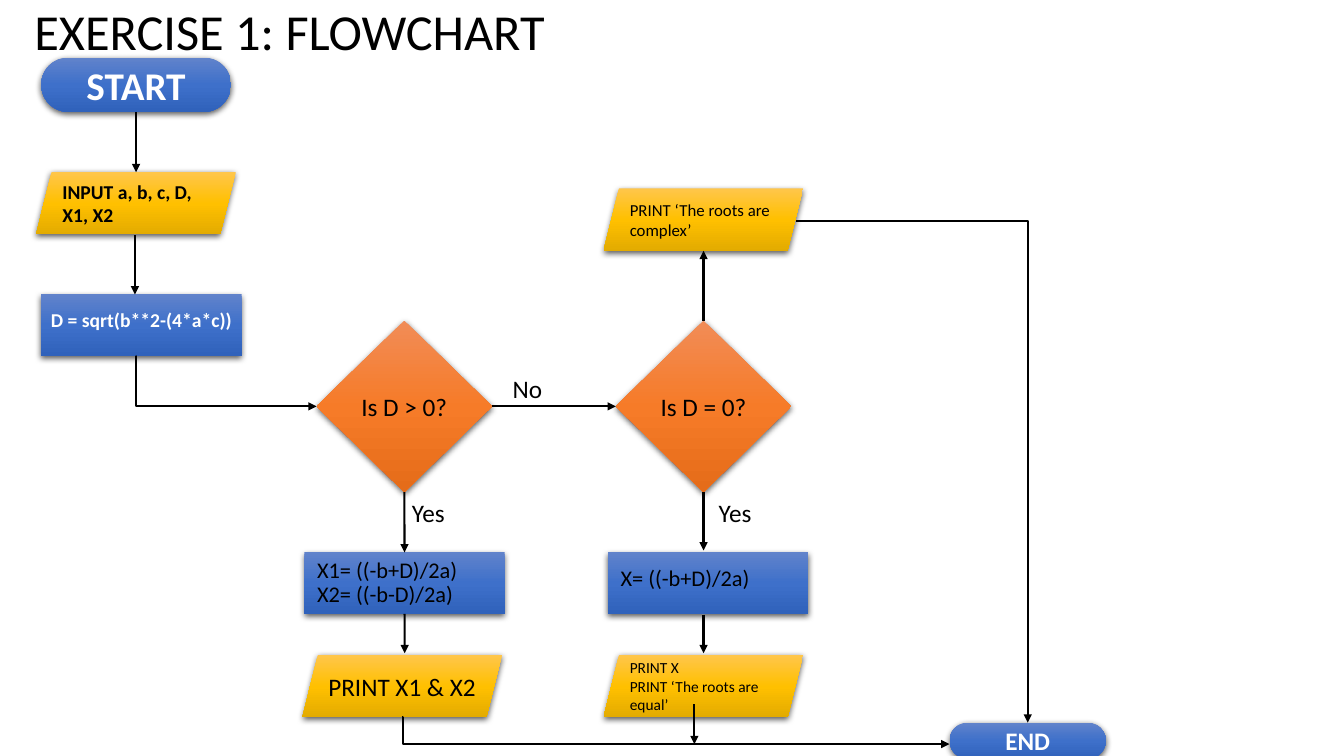
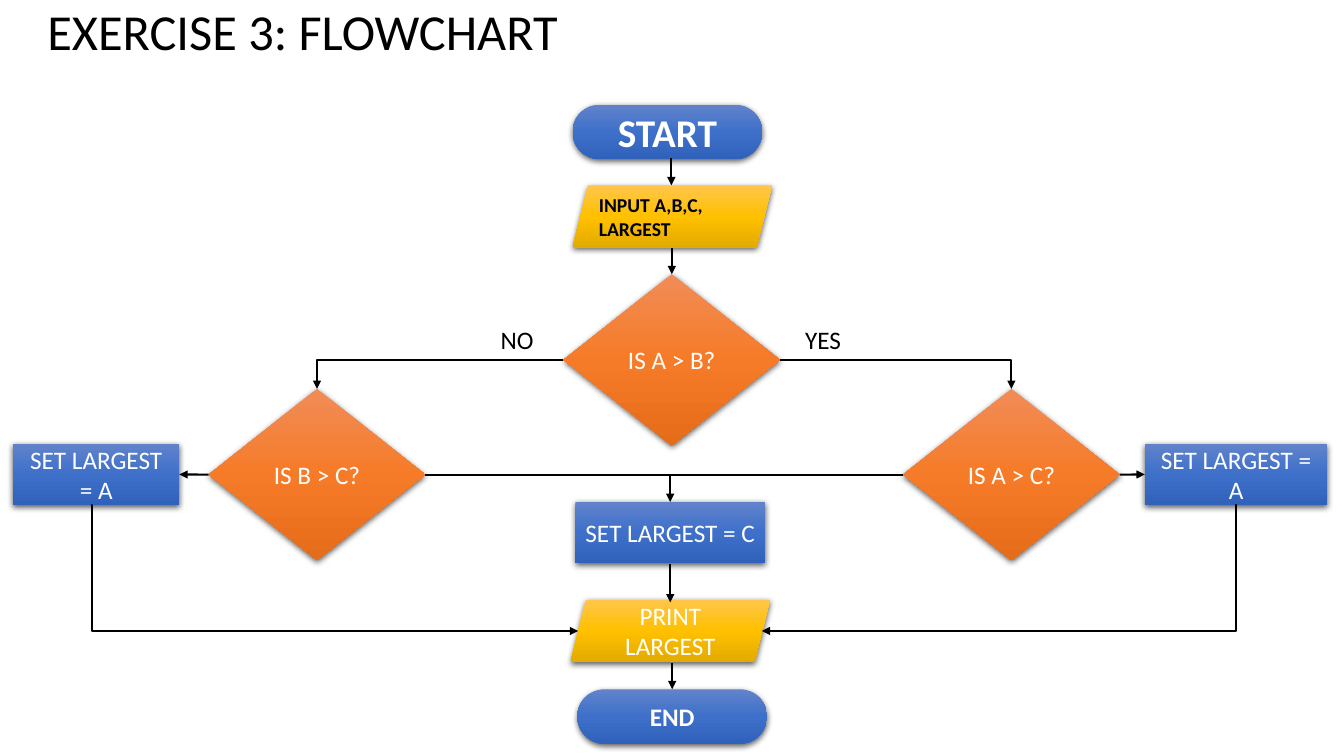
from copy import deepcopy
from dataclasses import dataclass

from lxml.etree import SubElement as Sub
from pptx import Presentation
from pptx.dml.color import RGBColor as Rgb
from pptx.enum.shapes import MSO_CONNECTOR as Wire, MSO_SHAPE as Form
from pptx.enum.text import MSO_ANCHOR as Anchor, PP_ALIGN as Align
from pptx.oxml.ns import qn
from pptx.util import Cm, Pt

TOP, LEFT, BOTTOM, RIGHT = range(4)


@dataclass(frozen=True)
class Theme:
    font: str = "Calibri"
    black: str = "000000"
    white: str = "FFFFFF"
    blue: tuple = ("6183CB", "3E70CA", "3062BB")
    gold: tuple = ("FFC64B", "FFC000", "E3AB00")
    orange: tuple = ("F18C57", "F67B28", "E56C19")
    head: int = 36
    start: int = 28
    body: int = 18
    sum: int = 16
    bold: int = 14
    note: int = 12
    tiny: int = 11
    line: float = 1.5
    pad: float = 0.24
    indent: float = 0.08


T = Theme()


def style(frame, size, color, bold=False, align=Align.LEFT, space=None):
    for para in frame.paragraphs:
        para.alignment = align
        para.line_spacing = space
        for run in para.runs:
            font = run.font
            font.name, font.size, font.bold = T.font, Pt(size), bold
            font.color.rgb = Rgb.from_string(color)


def paint(shape, tones):
    fill = shape.fill
    fill.gradient()
    fill.gradient_angle = 270
    stops = shape.element.spPr.find(qn("a:gradFill")).find(qn("a:gsLst"))
    stops.append(deepcopy(stops[-1]))
    for stop, place, tone in zip(fill.gradient_stops, (0, 0.5, 1), tones):
        stop.position = place
        stop.color.rgb = Rgb.from_string(tone)
    shape.line.fill.background()


def shade(shape):
    shape.shadow.inherit = False
    root = shape.element.spPr.find(qn("a:effectLst"))
    cast = Sub(root, qn("a:outerShdw"), blurRad=str(Pt(4.5)), dist=str(Pt(1.5)),
               dir="5400000", algn="ctr", rotWithShape="0")
    tint = Sub(cast, qn("a:srgbClr"), val=T.black)
    Sub(tint, qn("a:alpha"), val="63000")


def block(slide, form, tones, box, text, size=T.body, color=T.white,
          bold=False, align=Align.CENTER, pad=0, lift=0, space=None):
    shape = slide.shapes.add_shape(form, *map(Cm, box))
    paint(shape, tones)
    shade(shape)
    frame = shape.text_frame
    frame.text = text
    frame.word_wrap = True
    frame.vertical_anchor = Anchor.MIDDLE
    inset = T.indent if align == Align.LEFT else 0
    frame.margin_left, frame.margin_right = Cm(pad + inset), Cm(pad)
    frame.margin_top, frame.margin_bottom = 0, Cm(lift)
    style(frame, size, color, bold, align, space)
    return shape


def pill(slide, x, y, text, size=T.body, w=4.78, h=1.37):
    shape = block(slide, Form.ROUNDED_RECTANGLE, T.blue, (x, y, w, h), text,
                  size, bold=True)
    shape.adjustments[0] = 0.5
    return shape


def data(slide, x, y, text, size=T.body, color=T.black, bold=False,
         align=Align.LEFT):
    return block(slide, Form.PARALLELOGRAM, T.gold, (x, y, 5.03, 1.57), text,
                 size, color, bold, align)


def step(slide, x, y, text, w=5.05, **look):
    return block(slide, Form.RECTANGLE, T.blue, (x, y, w, 1.55), text,
                 pad=T.pad, **look)


def test(slide, x, y, text, w=5.46, color=T.white):
    return block(slide, Form.DIAMOND, T.orange, (x, y, w, 4.32), text,
                 color=color)


def label(slide, x, y, text):
    frame = slide.shapes.add_textbox(Cm(x), Cm(y), Cm(2.82), Cm(1.02)).text_frame
    frame.word_wrap = True
    frame.text = text
    style(frame, T.body, T.black)


def link(slide, start, end, kind=Wire.STRAIGHT, tip=True):
    ends = [(0, 0) if hasattr(spot[0], "shape_id") else spot
            for spot in (start, end)]
    wire = slide.shapes.add_connector(kind, *(Cm(v) for spot in ends for v in spot))
    for spot, join in ((start, wire.begin_connect), (end, wire.end_connect)):
        if hasattr(spot[0], "shape_id"):
            join(*spot)
    wire.line.color.rgb = Rgb.from_string(T.black)
    wire.line.width = Pt(T.line)
    props = wire.element.spPr
    if tip:
        Sub(props.find(qn("a:ln")), qn("a:tailEnd"), type="triangle")
    Sub(props, qn("a:effectLst"))
    return wire


def across(slide, start, end):
    wire = link(slide, start, end, Wire.ELBOW)
    wire.element.spPr.find(qn("a:prstGeom")).set("prst", "bentConnector2")


def down(slide, start, end):
    wire = link(slide, start, end, Wire.ELBOW)
    shape = wire.element.spPr.find(qn("a:prstGeom"))
    guides = shape.find(qn("a:avLst"))
    if guides is None:
        guides = Sub(shape, qn("a:avLst"))
    Sub(guides, qn("a:gd"), name="adj1", fmla="val 200")


def page(deck, text, x):
    slide = deck.slides.add_slide(deck.slide_layouts[5])
    title = slide.shapes.title
    title.left, title.top, title.width, title.height = map(
        Cm, (x, -0.98, 29.21, 3.68))
    frame = title.text_frame
    frame.text = text
    frame.word_wrap = True
    frame.vertical_anchor = Anchor.MIDDLE
    style(frame, T.head, T.black, space=0.9)
    return slide


def roots(deck):
    slide = page(deck, "EXERCISE 1: FLOWCHART", 0.61)
    sums = dict(size=T.sum, color=T.black, align=Align.LEFT)
    start = pill(slide, 1.04, 1.45, "START", T.start)
    data(slide, 0.91, 4.34, "INPUT a, b, c, D, X1, X2", T.bold, bold=True)
    step(slide, 1.04, 7.42, "D = sqrt(b**2-(4*a*c))", size=T.bold, bold=True,
         lift=0.3)
    more = test(slide, 7.98, 8.08, "Is D > 0?", 4.42, T.black)
    same = test(slide, 15.52, 8.08, "Is D = 0?", 4.42, T.black)
    pair = step(slide, 7.67, 13.92, "X1= ((-b+D)/2a)\nX2= ((-b-D)/2a)",
                space=0.92, **sums)
    step(slide, 15.32, 13.92, "X= ((-b+D)/2a)", lift=0.3, **sums)
    data(slide, 7.62, 16.51, "PRINT X1 & X2", align=Align.CENTER)
    data(slide, 15.21, 16.51, "PRINT X\nPRINT ‘The roots are equal’", T.tiny)
    data(slide, 15.21, 4.75, "PRINT ‘The roots are complex’", T.note)
    end = pill(slide, 23.93, 18.21, "END", w=3.94, h=0.91)

    for x, y, text in ((12.67, 9.27, "No"), (10.13, 12.4, "Yes"),
                       (17.86, 12.4, "Yes")):
        label(slide, x, y, text)

    for tail, head in (
        ((start, BOTTOM), (3.43, 4.34)),
        ((3.4, 5.92), (3.4, 7.42)),
        ((more, RIGHT), (same, LEFT)),
        ((more, BOTTOM), (pair, TOP)),
        ((pair, BOTTOM), (10.2, 16.46)),
        ((same, TOP), (17.73, 6.32)),
        ((same, BOTTOM), (17.73, 13.87)),
        ((17.73, 15.49), (17.73, 16.46)),
        ((17.5, 17.75), (17.5, 18.75)),
    ):
        link(slide, tail, head)
    down(slide, (3.43, 8.97), (7.98, 10.24))
    down(slide, (10.13, 18.08), (23.93, 18.75))
    across(slide, (20.07, 5.56), (end, TOP))


def largest(deck):
    slide = page(deck, "EXERCISE 3: FLOWCHART", 0.94)
    pill(slide, 14.43, 2.64, "START", T.start)
    data(slide, 14.43, 4.67, "INPUT A,B,C, LARGEST", T.bold, bold=True)
    first = test(slide, 14.2, 6.91, "IS A > B?")
    east = test(slide, 22.76, 9.8, "IS A > C?")
    west = test(slide, 5.26, 9.8, "IS B > C?")
    right = step(slide, 28.85, 11.18, "SET LARGEST = A", 4.6)
    left = step(slide, 0.33, 11.18, "SET LARGEST = A", 4.19)
    mid = step(slide, 14.5, 12.65, "SET LARGEST = C", 4.78)
    data(slide, 14.38, 15.11, "PRINT LARGEST", color=T.white,
         align=Align.CENTER)
    end = pill(slide, 14.55, 17.37, "END")

    label(slide, 20.04, 8.05, "YES")
    label(slide, 12.37, 8.05, "NO")

    for tail, head in (
        ((16.92, 3.99), (16.92, 4.67)),
        ((16.93, 6.25), (first, TOP)),
        ((east, RIGHT), (right, LEFT)),
        ((west, LEFT), (left, RIGHT)),
        ((16.89, 11.96), (mid, TOP)),
        ((mid, BOTTOM), (16.89, 15.18)),
        ((16.94, 16.7), (end, TOP)),
    ):
        link(slide, tail, head)
    link(slide, (west, RIGHT), (east, LEFT), tip=False)
    across(slide, (first, RIGHT), (east, TOP))
    across(slide, (first, LEFT), (west, TOP))
    down(slide, (2.29, 12.73), (14.57, 15.9))
    down(slide, (31.17, 12.73), (19.2, 15.9))


def main():
    deck = Presentation()
    deck.slide_width, deck.slide_height = Cm(33.87), Cm(19.05)
    roots(deck)
    largest(deck)
    deck.save("out.pptx")


if __name__ == "__main__":
    main()
